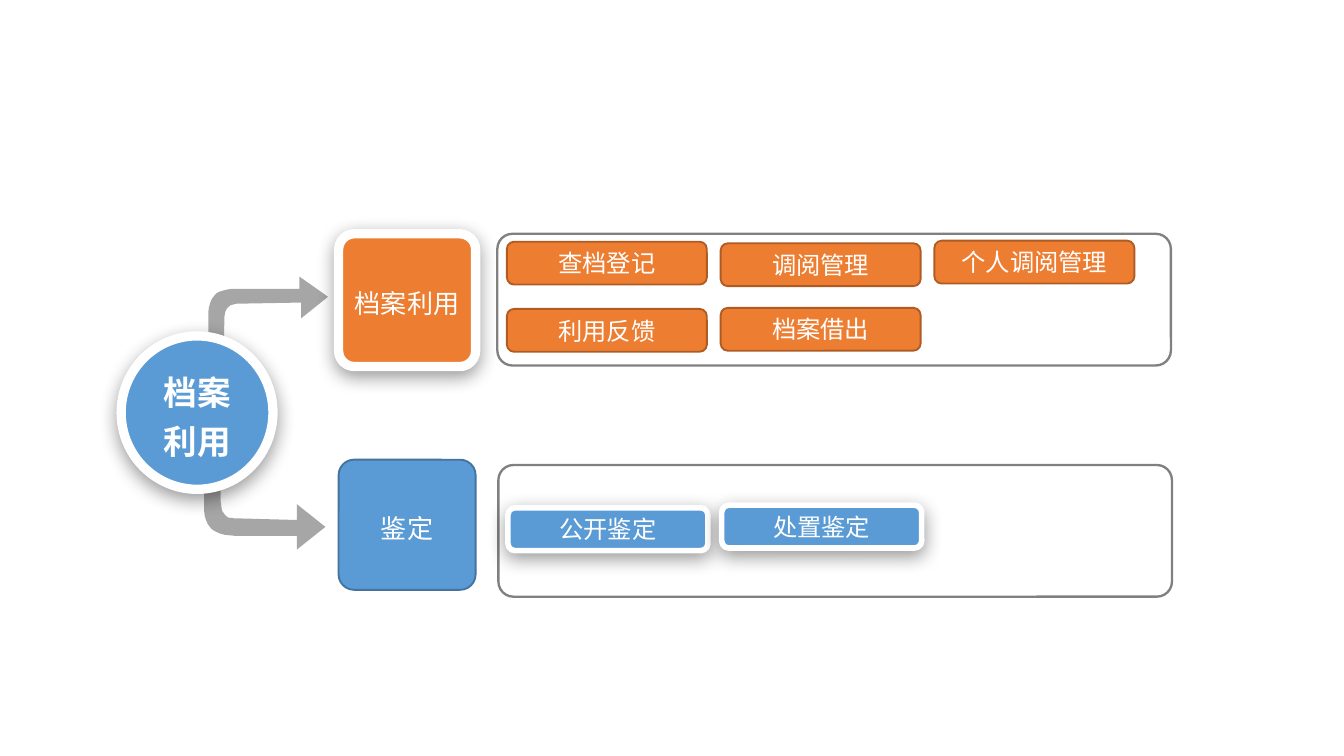
"""Build the archive use diagram: a hub, two branches and their functions."""
from dataclasses import dataclass
from typing import Optional

from lxml.etree import SubElement
from pptx import Presentation
from pptx.dml.color import RGBColor as RGB
from pptx.enum.shapes import MSO_SHAPE as Shape
from pptx.enum.text import MSO_ANCHOR as Anchor, PP_ALIGN as Align
from pptx.oxml import parse_xml
from pptx.oxml.ns import nsdecls, qn
from pptx.shapes.autoshape import Shape as AutoShape
from pptx.slide import Slide
from pptx.util import Cm, Pt

Point = tuple[int, int]
Segment = tuple[Point, ...]


@dataclass(frozen=True)
class Theme:
    """Colours, font and type sizes of the slide."""
    font: str = "Noto Sans CJK SC"
    orange: str = "ED7D31"
    orange_edge: str = "AF5C24"
    blue: str = "5B9BD5"
    blue_edge: str = "43739E"
    white: str = "FFFFFF"
    arrow: str = "A6A6A6"
    frame: str = "808080"
    hub_size: int = 18
    branch_size: int = 14
    chip_size: int = 13


T = Theme()


@dataclass(frozen=True)
class Style:
    """Look of a shape and its text."""
    fill: Optional[str]
    line: str
    width: float
    size: int = 0
    bold: bool = False
    spacing: float = 1.0
    shadow: bool = False
    corner: Optional[float] = None
    kind: Shape = Shape.ROUNDED_RECTANGLE


@dataclass(frozen=True)
class Box:
    """A shape's place in centimetres, with its style and text."""
    left: float
    top: float
    width: float
    height: float
    style: Style
    text: str = ""


@dataclass(frozen=True)
class Chip:
    """A function label in a column of a branch's panel."""
    column: int
    top: float
    text: str


HUB = Style(T.blue, T.white, 5, T.hub_size, True, 1.2, True, kind=Shape.OVAL)
USE = Style(T.orange, T.white, 5, T.branch_size, False, 1.2, True, 0.119)
APPRAISAL = Style(T.blue, T.blue_edge, 1, T.branch_size, spacing=1.2, corner=0.119)
PANEL = Style(None, T.frame, 1.25, corner=0.115)
USE_CHIP = Style(T.orange, T.orange_edge, 1, T.chip_size)
APPRAISAL_CHIP = Style(T.blue, T.white, 3, T.chip_size, shadow=True)

BOXES = [
    Box(6.4, 4.42, 2.59, 2.51, USE, "档案利用"),
    Box(6.4, 8.69, 2.59, 2.46, APPRAISAL, "鉴定"),
    Box(2.29, 6.35, 2.87, 2.9, HUB, "档案利用"),
    Box(9.4, 4.42, 12.73, 2.49, PANEL),
    Box(9.42, 8.79, 12.73, 2.49, PANEL),
]
USE_CHIPS = [
    Chip(0, 4.57, "查档登记"),
    Chip(1, 4.6, "调阅管理"),
    Chip(2, 4.55, "个人调阅管理"),
    Chip(0, 5.84, "利用反馈"),
    Chip(1, 5.82, "档案借出"),
]
APPRAISAL_CHIPS = [Chip(0, 9.6, "公开鉴定"), Chip(1, 9.55, "处置鉴定")]
CHIP_PITCH = 4.04

LOWER_ARROW: list[Segment] = [
    ((417, 757),), ((417, 947),), ((419, 980), (432, 980), (452, 980)),
    ((561, 983),), ((561, 953),), ((615, 996),), ((561, 1039),), ((561, 1013),),
    ((561, 1013), (485, 1013), (445, 1013)),
    ((401, 1011), (386, 996), (386, 958)),
    ((386, 754),), ((391, 721), (409, 724), (417, 757)),
]
UPPER_ARROW: list[Segment] = [
    ((422, 782),), ((424, 607),), ((424, 577), (437, 574), (457, 574)),
    ((569, 572),), ((569, 602),), ((620, 561),), ((566, 523),), ((566, 546),),
    ((566, 546), (493, 546), (450, 546)),
    ((406, 546), (394, 561), (394, 597)),
    ((394, 785),), ((396, 815), (417, 813), (422, 782)),
]


def flatten(segments: list[Segment], steps: int = 12) -> list[tuple[float, float]]:
    """Turn lines and cubic curves into a list of points."""
    points = [segments[0][0]]
    for seg in segments[1:]:
        if len(seg) == 1:
            points.append(seg[0])
            continue
        curve = (points[-1], *seg)
        for i in range(1, steps + 1):
            t = i / steps
            weights = ((1 - t) ** 3, 3 * t * (1 - t) ** 2, 3 * t * t * (1 - t), t ** 3)
            points.append(tuple(sum(w * p[k] for w, p in zip(weights, curve))
                                for k in (0, 1)))
    return points


def draw_arrow(slide: Slide, segments: list[Segment]) -> None:
    """Draw a bent arrow given in hundredths of a centimetre."""
    start, *rest = flatten(segments)
    builder = slide.shapes.build_freeform(*start, scale=Cm(0.01))
    builder.add_line_segments(rest, close=True)
    s = builder.convert_to_shape()
    s.shadow.inherit = False
    s.fill.solid()
    s.fill.fore_color.rgb = RGB.from_string(T.arrow)
    s.line.fill.background()


def add_shadow(s: AutoShape) -> None:
    """Give a shape a soft shadow below it."""
    effects = s._element.spPr.find(qn("a:effectLst"))
    effects.append(parse_xml(
        f'<a:outerShdw {nsdecls("a")} blurRad="{Pt(10)}" dist="{Pt(3)}" dir="5400000" '
        'algn="t" rotWithShape="0"><a:srgbClr val="000000"><a:alpha val="40000"/>'
        '</a:srgbClr></a:outerShdw>'))


def write_text(s: AutoShape, text: str, style: Style) -> None:
    """Write centred white text in a shape."""
    tf = s.text_frame
    tf.word_wrap = True
    tf.vertical_anchor = Anchor.MIDDLE
    tf.margin_left = tf.margin_right = Cm(0.18)
    tf.margin_top = tf.margin_bottom = Cm(0.08)
    p = tf.paragraphs[0]
    p.alignment = Align.CENTER
    p.line_spacing = style.spacing
    r = p.add_run()
    r.text = text
    r.font.size = Pt(style.size)
    r.font.bold = style.bold
    r.font.color.rgb = RGB.from_string(T.white)
    r.font.name = T.font
    SubElement(r._r.get_or_add_rPr(), qn("a:ea"), typeface=T.font)


def draw_box(slide: Slide, box: Box) -> None:
    """Draw one styled shape with its text."""
    style = box.style
    s = slide.shapes.add_shape(style.kind, Cm(box.left), Cm(box.top),
                               Cm(box.width), Cm(box.height))
    s.shadow.inherit = False
    if style.corner is not None:
        s.adjustments[0] = style.corner
    if style.fill:
        s.fill.solid()
        s.fill.fore_color.rgb = RGB.from_string(style.fill)
    else:
        s.fill.background()
    s.line.color.rgb = RGB.from_string(style.line)
    s.line.width = Pt(style.width)
    if style.shadow:
        add_shadow(s)
    if box.text:
        write_text(s, box.text, style)


def draw_chips(slide: Slide, chips: list[Chip], left: float, style: Style) -> None:
    """Draw a branch's function labels in evenly spaced columns."""
    for chip in chips:
        draw_box(slide, Box(left + chip.column * CHIP_PITCH, chip.top,
                            3.78, 0.81, style, chip.text))


def main() -> None:
    """Build and save the slide."""
    prs = Presentation()
    prs.slide_width, prs.slide_height = Cm(25.4), Cm(14.29)
    slide = prs.slides.add_slide(prs.slide_layouts[6])
    for arrow in (LOWER_ARROW, UPPER_ARROW):
        draw_arrow(slide, arrow)
    for box in BOXES:
        draw_box(slide, box)
    draw_chips(slide, USE_CHIPS, 9.58, USE_CHIP)
    draw_chips(slide, APPRAISAL_CHIPS, 9.6, APPRAISAL_CHIP)
    prs.save("out.pptx")


if __name__ == "__main__":
    main()
